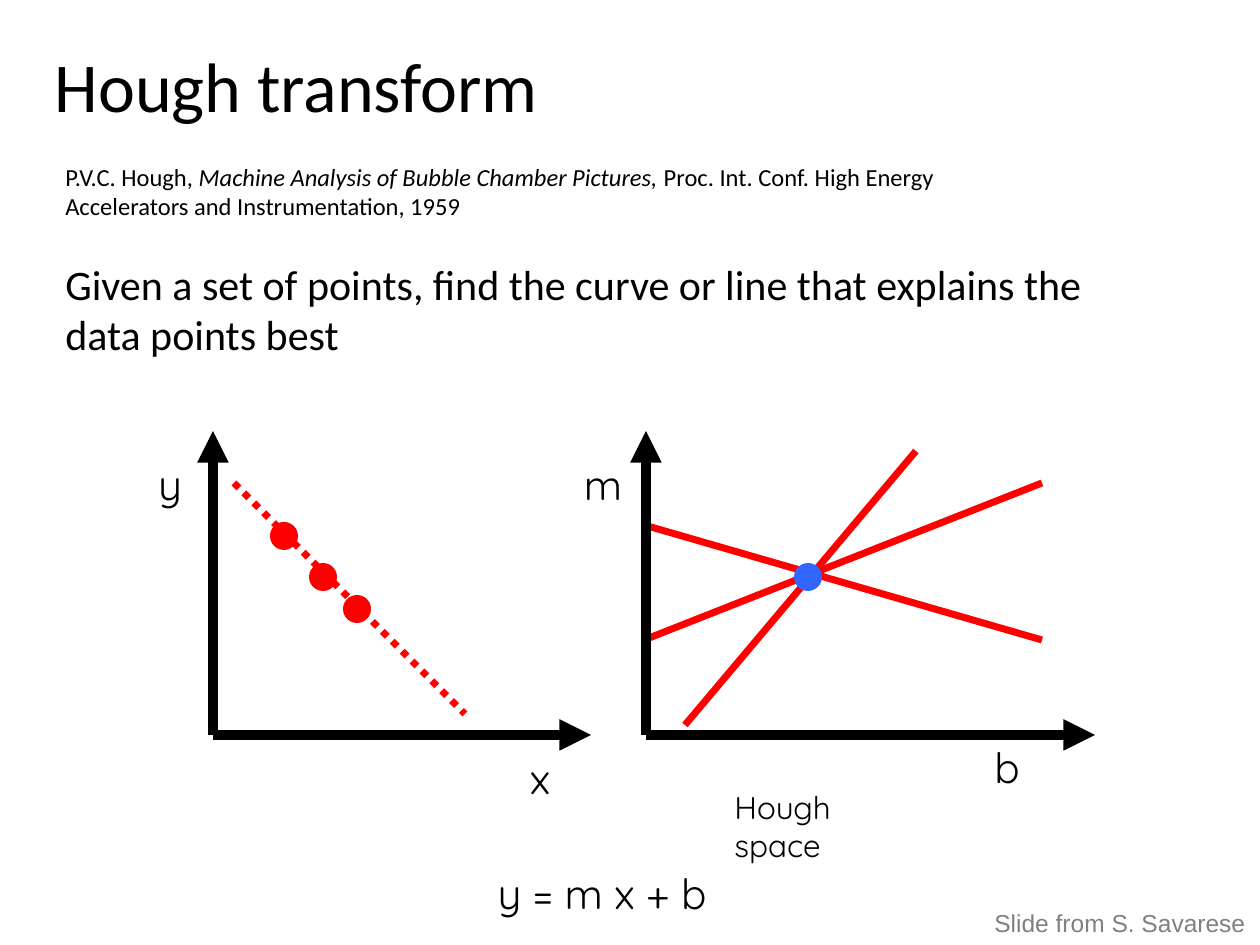
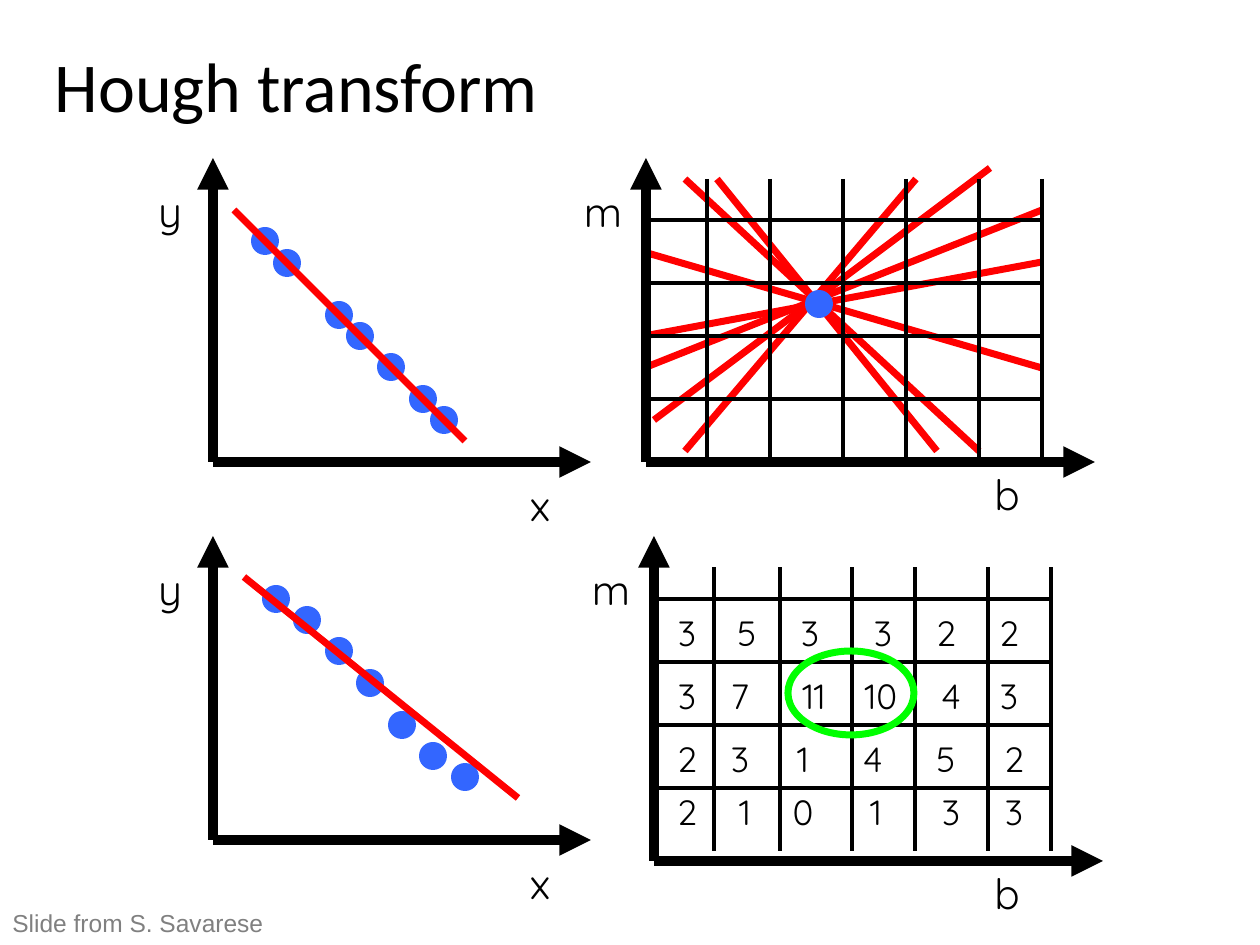
"""Build two slides that explain the Hough transform for line fitting."""
import lxml.etree
import pptx
import pptx.dml.color
import pptx.enum.dml
import pptx.enum.shapes
import pptx.enum.text
import pptx.oxml.ns
import pptx.util

PX = 914400 / 126
BLACK = pptx.dml.color.RGBColor(0x00, 0x00, 0x00)
RED = pptx.dml.color.RGBColor(0xFF, 0x00, 0x00)
BLUE = pptx.dml.color.RGBColor(0x33, 0x66, 0xFF)
GREEN = pptx.dml.color.RGBColor(0x00, 0xFF, 0x00)
GRAY = pptx.dml.color.RGBColor(0x80, 0x80, 0x80)
CENTER = pptx.enum.text.PP_ALIGN.CENTER
LEFT = pptx.enum.text.PP_ALIGN.LEFT
MIDDLE = pptx.enum.text.MSO_ANCHOR.MIDDLE
TITLE_ONLY = 5
DOT = 21

TITLE = "Hough transform"
CREDIT = "Slide from S. Savarese"
REFERENCE = [
    ("P.V.C. Hough, ", False),
    ("Machine Analysis of Bubble Chamber Pictures,", True),
    (" Proc. Int. Conf. High Energy Accelerators and Instrumentation, 1959", False),
]
QUESTION = "Given a set of points, find the curve or line that explains the data points best"

INTRO_POINTS = [(357, 609), (284, 536), (323, 577)]
INTRO_FIT = (234, 483, 465, 714)
INTRO_PEAK = (808, 577)
INTRO_VOTES = [(685, 725, 916, 451), (644, 640, 1042, 483), (644, 525, 1042, 640)]

EXACT_POINTS = [(444, 420), (423, 399), (391, 367), (360, 336), (339, 315),
                (287, 263), (265, 241)]
EXACT_FIT = (234, 210, 465, 441)
EXACT_PEAK = (819, 304)
EXACT_VOTES = [
    (685, 451, 916, 179), (937, 451, 717, 179), (654, 420, 990, 168),
    (979, 451, 685, 179), (644, 336, 1042, 262), (644, 368, 1042, 210),
    (644, 252, 1042, 368),
]
EXACT_COLUMNS = (707, 770, 843, 906, 979, 1042)
EXACT_ROWS = (220, 283, 336, 399)

NOISY_POINTS = [(465, 777), (433, 756), (402, 725), (370, 683), (339, 651),
                (307, 620), (276, 599)]
NOISY_FIT = (244, 577, 518, 798)
NOISY_COLUMNS = (714, 780, 852, 915, 988, 1051)
NOISY_ROWS = (599, 662, 725, 788)
PEAK_RING = (788, 651, 126, 84)
VOTE_COUNTS = {
    605: [("3", 687), ("5", 747), ("3", 810), ("3", 883), ("2", 946), ("2", 1009)],
    668: [("3", 687), ("7", 740), ("11", 814), ("10", 881), ("4", 951), ("3", 1009)],
    731: [("2", 687), ("3", 740), ("1", 803), ("4", 873), ("5", 946), ("2", 1014)],
    784: [("2", 687), ("1", 745), ("0", 803), ("1", 876), ("3", 951), ("3", 1014)],
}


def px(*lengths):
    """Turn px lengths into EMU."""
    return [pptx.util.Emu(round(length * PX)) for length in lengths]


def style(para, size, font="Quicksand", color=BLACK, align=LEFT):
    """Format a paragraph and all of its runs."""
    para.alignment = align
    for span in para.runs:
        span.font.size = pptx.util.Pt(size)
        span.font.name = font
        span.font.color.rgb = color


def add_text(page, area, text, size, wrap=True, **look):
    """Add a text box and return it."""
    box = page.shapes.add_textbox(*px(*area))
    box.text_frame.word_wrap = wrap
    box.text_frame.text = text
    style(box.text_frame.paragraphs[0], size, **look)
    return box


def add_label(page, text, center, top, size=24, width=68):
    """Add a short text centred on a column."""
    area = (center - width / 2, top, width, 63 if size == 24 else 54)
    add_text(page, area, text, size, wrap=False, align=CENTER)


def add_line(page, ends, color=RED, width=4, arrow=False, dotted=False):
    """Add a straight line, with an arrowhead or dots if asked."""
    line = page.shapes.add_connector(pptx.enum.shapes.MSO_CONNECTOR.STRAIGHT, *px(*ends))
    line.line.color.rgb = color
    line.line.width = pptx.util.Pt(width)
    if dotted:
        line.line.dash_style = pptx.enum.dml.MSO_LINE.ROUND_DOT
    properties = line._element.spPr
    qn = pptx.oxml.ns.qn
    if arrow:
        lxml.etree.SubElement(properties.find(qn("a:ln")), qn("a:tailEnd"), type="triangle")
    lxml.etree.SubElement(properties, qn("a:effectLst"))


def add_ellipse(page, area, color, filled=True):
    """Add an ellipse outlined in a colour."""
    ellipse = page.shapes.add_shape(pptx.enum.shapes.MSO_SHAPE.OVAL, *px(*area))
    ellipse.shadow.inherit = False
    ellipse.line.color.rgb = color
    ellipse.line.width = pptx.util.Pt(4)
    if filled:
        ellipse.fill.solid()
        ellipse.fill.fore_color.rgb = color
    else:
        ellipse.fill.background()


def add_points(page, centers, color=BLUE):
    """Add one dot on each centre."""
    for x, y in centers:
        add_ellipse(page, (x - DOT / 2, y - DOT / 2, DOT, DOT), color)


def add_axes(page, left, bottom, right, top, names, name_center, name_gap):
    """Add two arrows from the origin with their names."""
    for tip in ((left, top), (right, bottom)):
        add_line(page, (left, bottom, *tip), BLACK, 6, arrow=True)
    across, up = names
    add_label(page, across, name_center, bottom + name_gap)
    add_label(page, up, left - 43, top + 21)


def add_image_axes(page, bottom):
    """Add the x and y axes."""
    add_axes(page, 213, bottom, 591, bottom - 304, "xy", 540, 11)


def add_hough_axes(page, left, bottom, top):
    """Add the b and m axes."""
    add_axes(page, left, bottom, left + 449, top, "bm", 1007, 0)


def add_grid(page, columns, rows, left, top, bottom):
    """Add the thin lines that split Hough space into cells."""
    for y in rows:
        add_line(page, (left, y, columns[-1], y), BLACK, 2)
    for x in columns:
        add_line(page, (x, top, x, bottom), BLACK, 2)


def add_page(deck, credit_left):
    """Add a slide with the shared title and credit."""
    page = deck.slides.add_slide(deck.slide_layouts[TITLE_ONLY])
    title = page.shapes.title
    title.left, title.top, title.width, title.height = px(42, 32, 735, 105)
    frame = title.text_frame
    frame.text = TITLE
    frame.auto_size = pptx.enum.text.MSO_AUTO_SIZE.NONE
    frame.vertical_anchor = MIDDLE
    style(frame.paragraphs[0], 40, font="Calibri")
    add_text(page, (credit_left, 902, 278, 43), CREDIT, 14, wrap=False,
             font="Arial", color=GRAY)
    return page


def build_intro(deck):
    """Show the problem and its dual in Hough space."""
    page = add_page(deck, 982)
    box = add_text(page, (53, 155, 983, 72), "", 14)
    box.text_frame.vertical_anchor = MIDDLE
    para = box.text_frame.paragraphs[0]
    for text, italic in REFERENCE:
        span = para.add_run()
        span.text = text
        span.font.italic = italic
    style(para, 14, font="Calibri")
    add_text(page, (53, 252, 1061, 115), QUESTION, 24, font="Calibri")

    add_line(page, INTRO_FIT, dotted=True)
    add_image_axes(page, 735)
    add_points(page, INTRO_POINTS, RED)
    for ends in INTRO_VOTES:
        add_line(page, ends)
    add_hough_axes(page, 646, 735, 431)
    add_points(page, [INTRO_PEAK])
    add_text(page, (722, 782, 190, 90), "Hough space", 18)
    add_label(page, "y = m x + b", 602, 861, width=234)


def build_voting(deck):
    """Show exact and noisy points with their votes."""
    page = add_page(deck, 0)
    add_image_axes(page, 462)
    add_points(page, EXACT_POINTS)
    add_line(page, EXACT_FIT)
    for ends in EXACT_VOTES:
        add_line(page, ends)
    add_hough_axes(page, 646, 462, 158)
    add_grid(page, EXACT_COLUMNS, EXACT_ROWS, 644, 179, 462)
    add_points(page, [EXACT_PEAK])

    add_image_axes(page, 840)
    add_points(page, NOISY_POINTS)
    add_line(page, NOISY_FIT)
    add_hough_axes(page, 654, 861, 536)
    add_grid(page, NOISY_COLUMNS, NOISY_ROWS, 652, 567, 851)
    for top, row in VOTE_COUNTS.items():
        for count, center in row:
            add_label(page, count, center, top, size=20)
    add_ellipse(page, PEAK_RING, GREEN, filled=False)


def main():
    """Build and save the deck."""
    deck = pptx.Presentation()
    deck.slide_width, deck.slide_height = px(1260, 945)
    build_intro(deck)
    build_voting(deck)
    deck.save("out.pptx")


if __name__ == "__main__":
    main()
